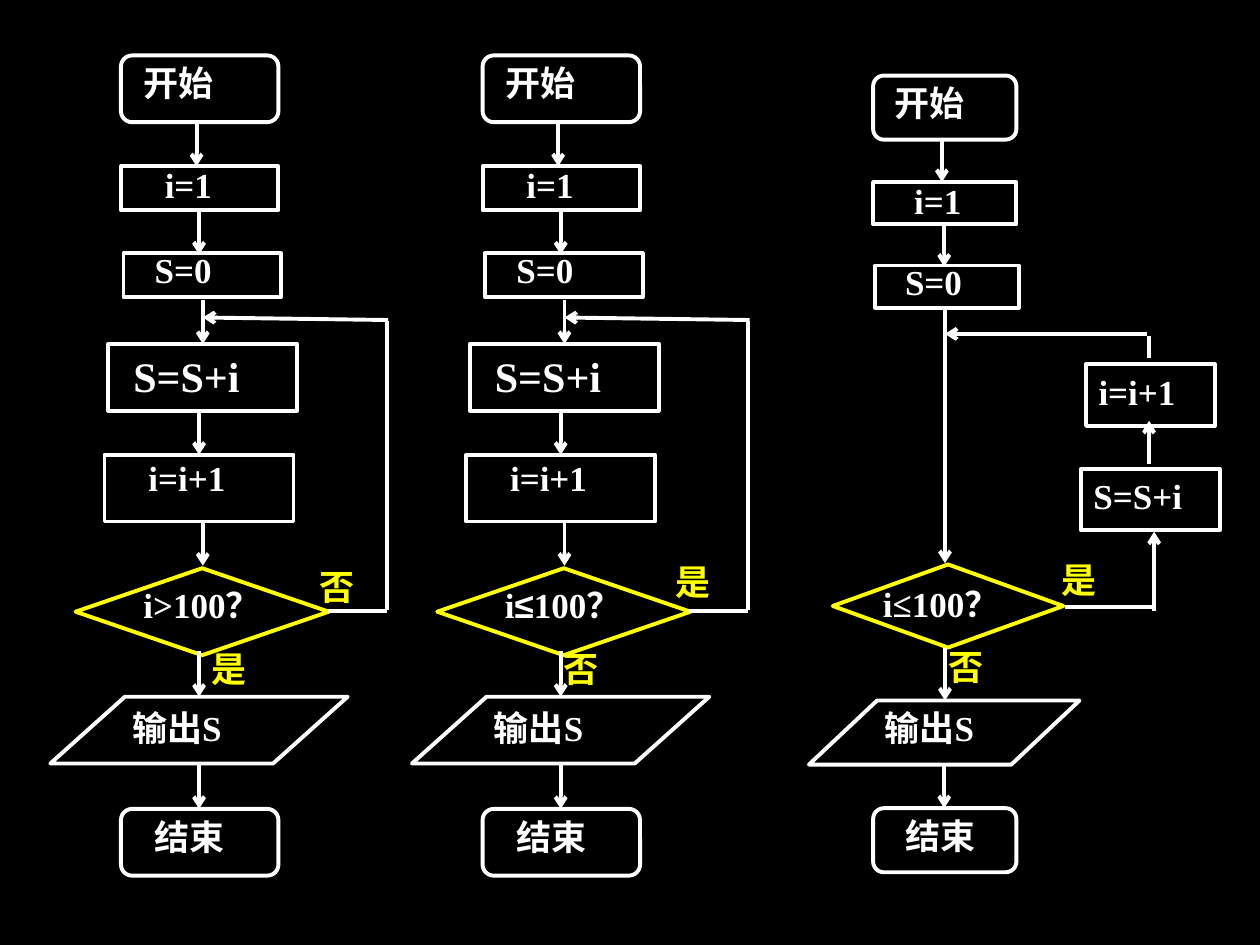
from dataclasses import dataclass

from lxml import etree
from pptx import Presentation
from pptx.dml.color import RGBColor
from pptx.enum.shapes import MSO_CONNECTOR, MSO_SHAPE
from pptx.enum.text import PP_ALIGN
from pptx.oxml.ns import qn
from pptx.util import Inches, Pt

BLACK = RGBColor(0x00, 0x00, 0x00)
WHITE = RGBColor(0xFF, 0xFF, 0xFF)
YELLOW = RGBColor(0xFF, 0xFF, 0x00)
SERIF = "Times New Roman"
SANS = "Arial"
STRAIGHT = MSO_CONNECTOR.STRAIGHT
RECTANGLE = MSO_SHAPE.RECTANGLE
ROUNDED = MSO_SHAPE.ROUNDED_RECTANGLE
DIAMOND = MSO_SHAPE.DIAMOND
PARALLELOGRAM = MSO_SHAPE.PARALLELOGRAM
JUSTIFY = PP_ALIGN.JUSTIFY
LINE_WIDTH = Pt(2.25)


@dataclass
class Box:
    """An origin in inches with a scale for the parts placed inside it."""

    left: float
    top: float
    scale_x: float = 1
    scale_y: float = 1

    def point(self, x, y):
        """Return the slide position of a point in the box."""
        return (Inches(self.left + x * self.scale_x),
                Inches(self.top + y * self.scale_y))

    def area(self, x, y, width, height):
        """Return the slide position and size of an area in the box."""
        return (*self.point(x, y), Inches(width * self.scale_x),
                Inches(height * self.scale_y))


def write_text(shape, text, size=20, color=WHITE, sans_characters=""):
    """Write bold text, setting the listed characters in the sans font."""
    frame = shape.text_frame
    frame.word_wrap = True
    paragraph = frame.paragraphs[0]
    paragraph.alignment = JUSTIFY
    if sans_characters:
        before, after = text.split(sans_characters)
        pieces = [before, sans_characters, after]
        for piece in pieces:
            paragraph.add_run().text = piece
    else:
        paragraph.text = text
    for run in paragraph.runs:
        run.font.name = SANS if run.text == sans_characters else SERIF
        run.font.size = Pt(size)
        run.font.bold = True
        run.font.color.rgb = color


def add_label(slide, box, area, text, **style):
    """Add a free text label."""
    write_text(slide.shapes.add_textbox(*box.area(*area)), text, **style)


def add_outline(slide, box, kind, area, color=WHITE):
    """Add an unfilled flowchart symbol."""
    shape = slide.shapes.add_shape(kind, *box.area(*area))
    shape.shadow.inherit = False
    shape.fill.background()
    shape.line.color.rgb = color
    shape.line.width = LINE_WIDTH
    shape.text_frame.vertical_anchor = None
    return shape


def add_line(slide, box, start, end, arrow=True):
    """Add a white line, with an arrowhead at its end if wanted."""
    line = slide.shapes.add_connector(
        STRAIGHT, *box.point(*start), *box.point(*end))
    line.line.color.rgb = WHITE
    line.line.width = LINE_WIDTH
    properties = line._element.spPr
    if arrow:
        etree.SubElement(properties.find(qn("a:ln")), qn("a:tailEnd"), type="arrow")
    etree.SubElement(properties, qn("a:effectLst"))


def draw_header(slide, box):
    """Draw the start symbol and the two initial assignments."""
    add_outline(slide, box, ROUNDED, (0.56, 0, 1.25, 0.53))
    add_label(slide, box, (0.64, 0, 1.25, 0.53), "开始")
    add_line(slide, box, (1.16, 0.53), (1.16, 0.88))
    add_outline(slide, box, RECTANGLE, (0.56, 0.88, 1.25, 0.35))
    add_label(slide, box, (0.81, 0.81, 1, 0.53), "i=1")
    add_line(slide, box, (1.18, 1.22), (1.18, 1.58))
    add_outline(slide, box, RECTANGLE, (0.58, 1.57, 1.25, 0.35))
    add_label(slide, box, (0.73, 1.48, 1, 0.53), "S=0")


def draw_footer(slide, box, slant, label_drop):
    """Draw the output and end symbols."""
    output = add_outline(slide, box, PARALLELOGRAM, (0, 0, 2.36, 0.53))
    output.adjustments[0] = slant
    add_label(slide, box, (0.55, label_drop, 1.25, 0.53), "输出S")
    add_line(slide, box, (1.18, 0.54), (1.18, 0.89))
    add_outline(slide, box, ROUNDED, (0.56, 0.89, 1.25, 0.53))
    add_label(slide, box, (0.73, 0.89, 1, 0.53), "结束")


def draw_test_last_chart(slide, box, question, repeat, leave, sans_characters=""):
    """Draw a loop tested after its body; repeat and leave are (text, x, y)."""
    draw_header(slide, box)
    add_line(slide, box, (1.21, 1.94), (1.21, 2.29))
    add_outline(slide, box, RECTANGLE, (0.46, 2.29, 1.5, 0.53))
    add_label(slide, box, (0.56, 2.29, 1.5, 0.51), "S=S+i", size=24)
    add_line(slide, box, (1.18, 2.82), (1.18, 3.17))
    add_outline(slide, box, RECTANGLE, (0.43, 3.17, 1.5, 0.53))
    add_label(slide, box, (0.68, 3.13, 1.25, 0.51), "i=i+1")
    add_line(slide, box, (1.21, 3.7), (1.21, 4.05))
    add_outline(slide, box, DIAMOND, (0.2, 4.07, 2.01, 0.69), YELLOW)
    add_label(slide, box, (0.64, 4.14, 1.5, 0.53), question,
              sans_characters=sans_characters)
    add_line(slide, box, (1.18, 4.73), (1.18, 5.09))
    for text, x, y in (repeat, leave):
        add_label(slide, box, (x, y, 0.75, 0.53), text, color=YELLOW)
    add_line(slide, box, (2.2, 4.41), (2.67, 4.41), arrow=False)
    add_line(slide, box, (2.67, 4.4), (2.67, 2.11), arrow=False)
    add_line(slide, box, (2.68, 2.1), (1.21, 2.08))
    draw_footer(slide, Box(box.left, box.top + 5.09), 1.117, 0.03)


def draw_test_first_chart(slide, box):
    """Draw a loop tested before its body."""
    scale = (0.91, 0.96)
    draw_header(slide, Box(box.left, box.top, *scale))
    add_line(slide, box, (1.08, 1.85), (1.08, 3.87))
    add_outline(slide, box, DIAMOND, (0.19, 3.88, 1.83, 0.66), YELLOW)
    add_label(slide, box, (0.49, 3.97, 1.6, 0.5), "i≤100？")
    add_label(slide, box, (1.91, 3.78, 0.69, 0.5), "是", color=YELLOW)
    add_label(slide, box, (1.01, 4.47, 0.69, 0.51), "否", color=YELLOW)
    add_line(slide, box, (1.08, 4.54), (1.08, 4.96))
    add_line(slide, box, (2.03, 4.22), (2.74, 4.22), arrow=False)
    add_line(slide, box, (2.74, 4.25), (2.74, 3.62))
    for text, area in (("S=S+i", (2.16, 3.12, 1.1, 0.49)),
                       ("i=i+1", (2.2, 2.29, 1.02, 0.49))):
        write_text(add_outline(slide, box, RECTANGLE, area), text)
    add_line(slide, box, (2.7, 3.08), (2.7, 2.74))
    add_line(slide, box, (2.7, 2.24), (2.7, 2.07), arrow=False)
    add_line(slide, box, (2.68, 2.05), (1.08, 2.05))
    draw_footer(slide, Box(box.left, box.top + 4.96, *scale), 1.065, 0)


def main():
    """Build the slide with its three flowcharts."""
    presentation = Presentation()
    presentation.slide_width = Inches(10)
    presentation.slide_height = Inches(7.5)
    slide = presentation.slides.add_slide(presentation.slide_layouts[6])
    slide.background.fill.solid()
    slide.background.fill.fore_color.rgb = BLACK
    draw_test_last_chart(slide, Box(0.4, 0.44), "i>100？",
                         ("否", 2.04, 4), ("是", 1.18, 4.65))
    draw_test_first_chart(slide, Box(6.42, 0.6))
    draw_test_last_chart(slide, Box(3.27, 0.44), "i≤100？",
                         ("是", 1.99, 3.96), ("否", 1.1, 4.65), "≤")
    presentation.save("out.pptx")


if __name__ == "__main__":
    main()
